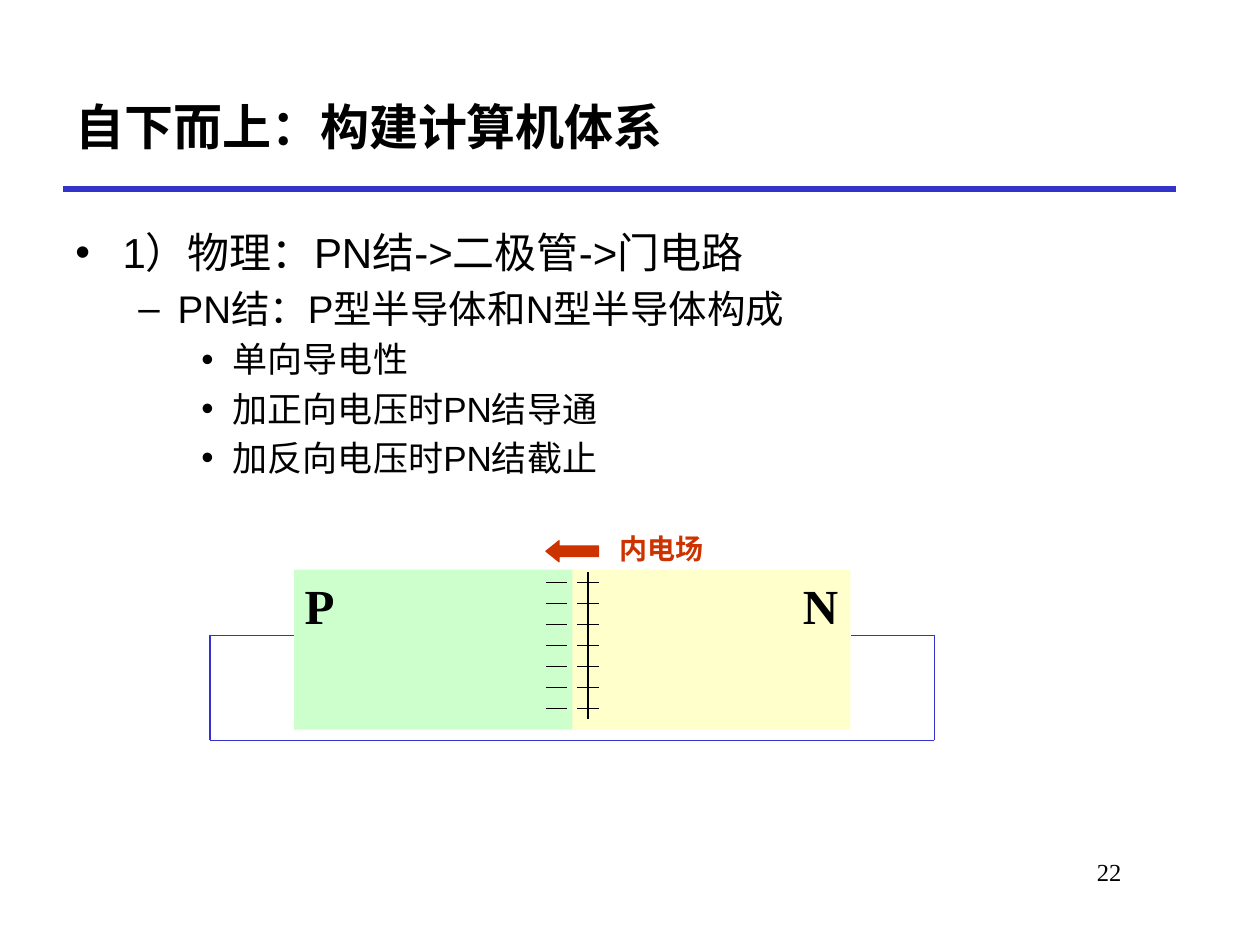
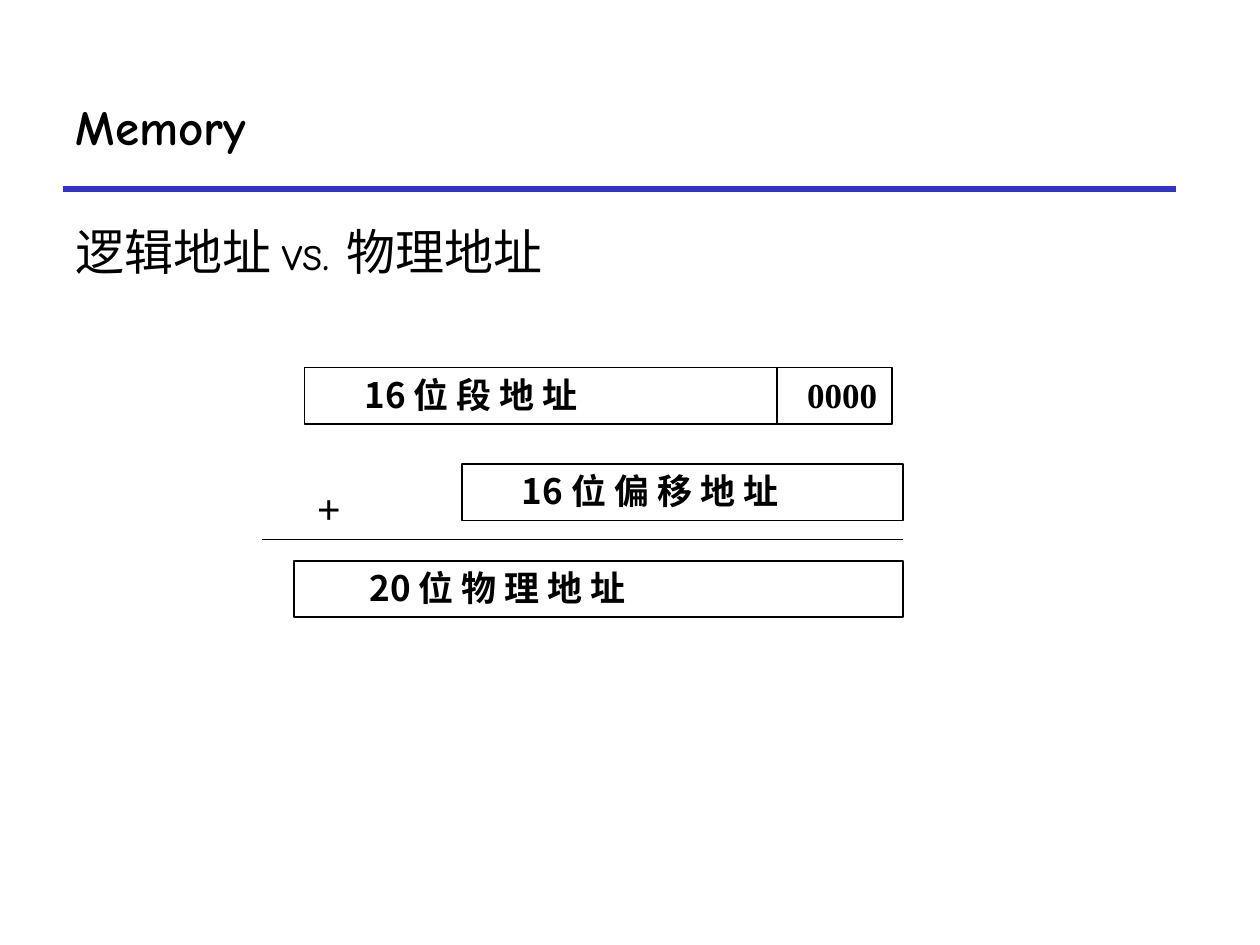
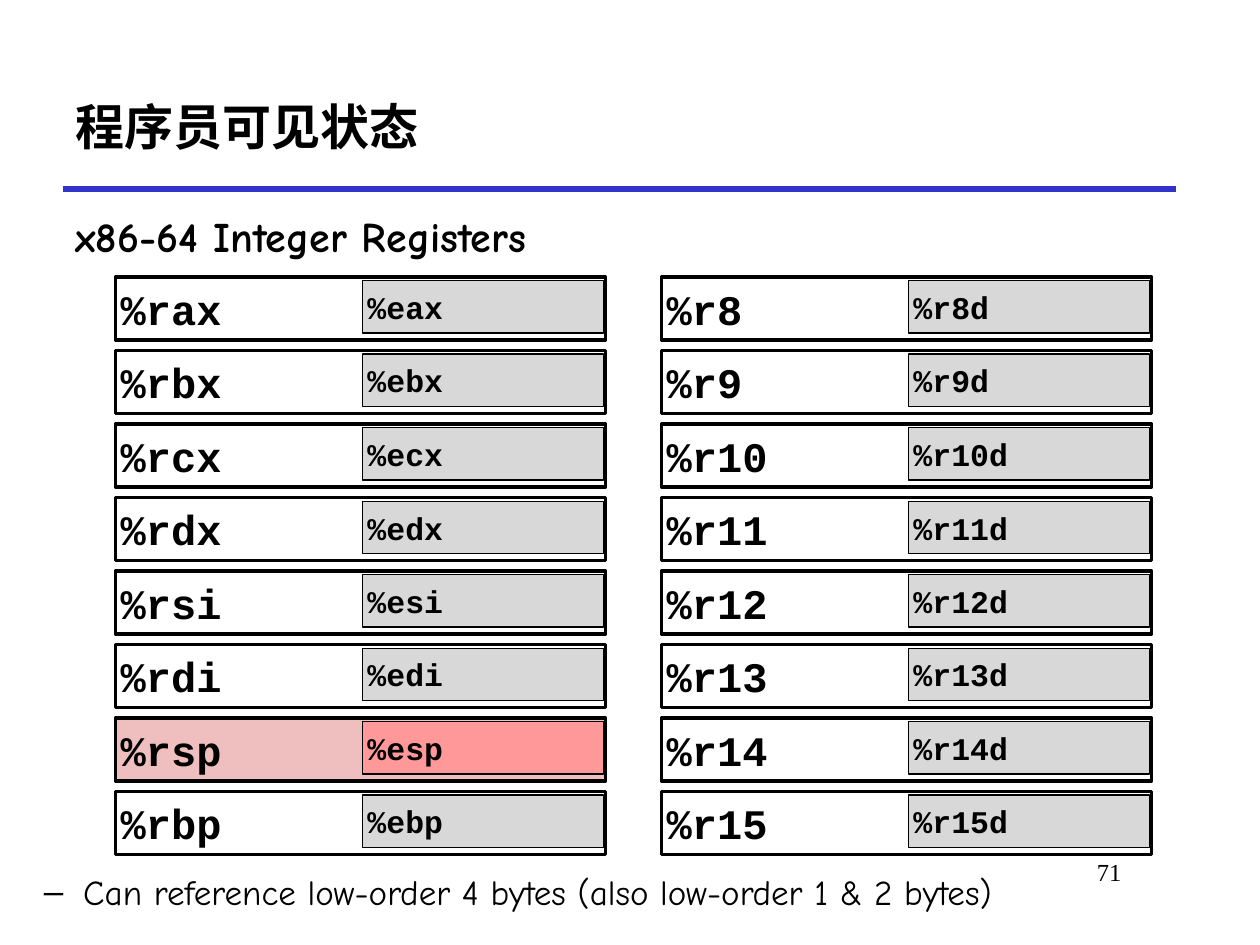
from dataclasses import dataclass
from itertools import pairwise

from lxml.etree import SubElement
from pptx import Presentation
from pptx.dml.color import RGBColor
from pptx.enum.shapes import MSO_CONNECTOR, MSO_SHAPE
from pptx.enum.text import MSO_ANCHOR, MSO_AUTO_SIZE, PP_ALIGN
from pptx.oxml.ns import qn
from pptx.shapes.base import BaseShape
from pptx.slide import Slide
from pptx.util import Pt

BLACK = "000000"
BLUE = "3333CC"
RED = "CC3300"
GREEN = "CCFFCC"
YELLOW = "FFFFCC"
GREY = "D8D8D8"
PINK = "EFBFBF"
ROSE = "FF9999"

HEADING_FONT = "Comic Neue"
BODY_FONT = "Arial"
SERIF_FONT = "Times New Roman"
CODE_FONT = "Courier New"
CHINESE_FONT = "Noto Sans CJK SC"

MARK_PITCH = 12
ROW_PITCH = 42


@dataclass(frozen=True)
class Area:
    left: float
    top: float
    width: float
    height: float


@dataclass(frozen=True)
class Bullet:
    text: str
    level: int = 0


@dataclass(frozen=True)
class BulletStyle:
    symbol: str
    size: float
    margin: float
    hanging: float


@dataclass(frozen=True)
class AddressField:
    text: str
    area: Area
    indent: float
    font: str = CHINESE_FONT


@dataclass(frozen=True)
class Register:
    name: str
    low_half: str
    fill: str | None = None
    low_fill: str = GREY


BULLET_STYLES = (
    BulletStyle("•", 24, 27, 27),
    BulletStyle("–", 22, 58.5, 22.5),
    BulletStyle("•", 20, 90, 18),
)

TITLE_AREA = Area(36, 36, 636, 72)

JUNCTION_BULLETS = (
    Bullet("1）物理：PN结->二极管->门电路"),
    Bullet("PN结：P型半导体和N型半导体构成", 1),
    Bullet("单向导电性", 2),
    Bullet("加正向电压时PN结导通", 2),
    Bullet("加反向电压时PN结截止", 2),
)

ADDRESS_FIELDS = (
    AddressField("16 位 段 地 址", Area(174, 210, 270, 32.4), 27),
    AddressField("16 位 偏 移 地 址", Area(264, 265, 252, 32.4), 27),
    AddressField("0000", Area(444, 210, 66, 32.4), 10, SERIF_FONT),
    AddressField("20 位 物 理 地 址", Area(168, 320.4, 348, 32.4), 36),
)

LEGACY_REGISTERS = [
    Register(f"%r{suffix}", f"%e{suffix}")
    for suffix in ("ax", "bx", "cx", "dx", "si", "di")
] + [Register("%rsp", "%esp", PINK, ROSE), Register("%rbp", "%ebp")]
NUMBERED_REGISTERS = [Register(f"%r{n}", f"%r{n}d") for n in range(8, 16)]


def colour(value: str) -> RGBColor:
    return RGBColor.from_string(value)


def place(shape: BaseShape, area: Area) -> None:
    shape.left, shape.top = Pt(area.left), Pt(area.top)
    shape.width, shape.height = Pt(area.width), Pt(area.height)


def write(paragraph, text: str, *, size: float, font: str,
          bold: bool = False, color: str = BLACK) -> None:
    span = paragraph.add_run()
    span.text = text
    span.font.size = Pt(size)
    span.font.name = font
    span.font.bold = bold
    span.font.color.rgb = colour(color)
    east_asian = SubElement(span.font._element, qn("a:ea"))
    east_asian.set("typeface", CHINESE_FONT)


def set_text(shape: BaseShape, text: str, *, size: float, font: str,
             bold: bool = False, color: str = BLACK,
             align: PP_ALIGN = PP_ALIGN.LEFT,
             anchor: MSO_ANCHOR = MSO_ANCHOR.TOP,
             insets: tuple[float, float, float, float] = (7.2, 3.6, 7.2, 3.6),
             wrap: bool = True) -> None:
    frame = shape.text_frame
    frame.auto_size = MSO_AUTO_SIZE.NONE
    frame.word_wrap = wrap
    frame.vertical_anchor = anchor
    frame.margin_left, frame.margin_top, frame.margin_right, frame.margin_bottom = map(Pt, insets)
    para = frame.paragraphs[0]
    para.alignment = align
    write(para, text, size=size, font=font, bold=bold, color=color)


def add_text(page: Slide, area: Area, text: str, **text_format) -> None:
    box = page.shapes.add_textbox(0, 0, 0, 0)
    place(box, area)
    set_text(box, text, **text_format)


def add_bullets(page: Slide, area: Area, bullets: tuple[Bullet, ...], font: str,
                size: float | None = None) -> None:
    box = page.shapes.add_textbox(0, 0, 0, 0)
    place(box, area)
    frame = box.text_frame
    frame.word_wrap = True
    for index, bullet in enumerate(bullets):
        style = BULLET_STYLES[bullet.level]
        text_size = size or style.size
        para = frame.add_paragraph() if index else frame.paragraphs[0]
        para.level = bullet.level
        properties = para._p.get_or_add_pPr()
        properties.set("marL", str(Pt(style.margin)))
        properties.set("indent", str(Pt(-style.hanging)))
        SubElement(properties, qn("a:buFont")).set("typeface", BODY_FONT)
        SubElement(properties, qn("a:buChar")).set("char", style.symbol)
        if index:
            para.space_before = Pt(text_size * 0.2)
        write(para, bullet.text, size=text_size, font=font)


def add_block(page: Slide, area: Area, *, kind: MSO_SHAPE = MSO_SHAPE.RECTANGLE,
              fill: str | None = None, line: str | None = None,
              weight: float = 0.75) -> BaseShape:
    block = page.shapes.add_shape(kind, 0, 0, 0, 0)
    place(block, area)
    block.shadow.inherit = False
    if fill:
        block.fill.solid()
        block.fill.fore_color.rgb = colour(fill)
    else:
        block.fill.background()
    if line:
        block.line.color.rgb = colour(line)
        block.line.width = Pt(weight)
    else:
        block.line.fill.background()
    return block


def add_line(page: Slide, start: tuple[float, float], end: tuple[float, float], *,
             color: str = BLACK, weight: float = 0.75) -> None:
    line = page.shapes.add_connector(MSO_CONNECTOR.STRAIGHT, *map(Pt, start + end))
    line.line.color.rgb = colour(color)
    line.line.width = Pt(weight)
    SubElement(line._element.spPr, qn("a:effectLst"))


def add_page(deck, title: str, number: int | None = None) -> Slide:
    page = deck.slides.add_slide(deck.slide_layouts[5])
    add_line(page, (36, 108), (672, 108), color=BLUE, weight=3)
    place(page.shapes.title, TITLE_AREA)
    set_text(page.shapes.title, title, size=28, font=HEADING_FONT, bold=True,
             anchor=MSO_ANCHOR.MIDDLE)
    if number is not None:
        add_text(page, Area(546, 486, 102, 36), str(number), size=14,
                 font=SERIF_FONT, align=PP_ALIGN.RIGHT)
    return page


def build_junction_page(deck) -> None:
    page = add_page(deck, "自下而上：构建计算机体系", 22)
    add_bullets(page, Area(36, 126, 654, 348), JUNCTION_BULLETS, BODY_FONT)

    p_region = add_block(page, Area(168, 325.5, 162, 91.5), fill=GREEN)
    set_text(p_region, "P", size=28, font=SERIF_FONT, bold=True, insets=(6, 3.6, 0, 3.6))
    n_region = add_block(page, Area(327, 325.5, 159, 91.5), fill=YELLOW)
    set_text(n_region, "N", size=28, font=SERIF_FONT, bold=True,
             align=PP_ALIGN.RIGHT, insets=(0, 3.6, 7, 3.6))

    for row in range(7):
        y = 333 + row * MARK_PITCH
        add_line(page, (312, y), (324, y))
        add_line(page, (330, y), (342, y))
        add_line(page, (336, y - MARK_PITCH / 2), (336, y + MARK_PITCH / 2))

    wire = ((168, 363), (120, 363), (120, 423), (534, 423), (534, 363), (486, 363))
    for start, end in pairwise(wire):
        add_line(page, start, end, color=BLUE)

    arrow = add_block(page, Area(312, 309, 30, 12), kind=MSO_SHAPE.LEFT_ARROW,
                      fill=RED, line=RED)
    arrow.adjustments[0] = 0.5
    arrow.adjustments[1] = 0.625
    add_text(page, Area(354, 300, 48, 26.4), "内电场", size=16, font=SERIF_FONT,
             bold=True, color=RED, insets=(0, 3.6, 0, 3.6), wrap=False)


def build_memory_page(deck) -> None:
    page = add_page(deck, "Memory")
    add_text(page, Area(36, 107.25, 636, 72), "逻辑地址 vs. 物理地址", size=28,
             font=HEADING_FONT, anchor=MSO_ANCHOR.MIDDLE)
    for field in ADDRESS_FIELDS:
        block = add_block(page, field.area, line=BLACK, weight=1)
        set_text(block, field.text, size=20, font=field.font, bold=True,
                 insets=(7.2 + field.indent, 3.6, 7.2, 3.6))
    add_text(page, Area(174, 272.25, 28, 36), "+", size=24, font=SERIF_FONT,
             bold=True, wrap=False)
    add_line(page, (150, 308.25), (516, 308.25), weight=1)


def add_register(page: Slide, register: Register, left: float, top: float) -> None:
    label_format = dict(font=CODE_FONT, bold=True, anchor=MSO_ANCHOR.MIDDLE,
                        insets=(3, 3, 3, 3))
    full = add_block(page, Area(left, top, 280, 36), fill=register.fill,
                     line=BLACK, weight=2)
    set_text(full, register.name, size=24, **label_format)
    low = add_block(page, Area(left + 141, top + 2, 138, 30), fill=register.low_fill,
                    line=BLACK)
    set_text(low, register.low_half, size=18, **label_format)


def build_register_page(deck) -> None:
    page = add_page(deck, "程序员可见状态", 71)
    add_text(page, Area(36, 104.5, 598, 60), "x86-64 Integer Registers", size=24,
             font=HEADING_FONT, bold=True, anchor=MSO_ANCHOR.MIDDLE)
    for left, registers in ((66, LEGACY_REGISTERS), (378, NUMBERED_REGISTERS)):
        for row, register in enumerate(registers):
            add_register(page, register, left, 158.4 + row * ROW_PITCH)
    note = Bullet("Can reference low-order 4 bytes (also low-order 1 & 2 bytes)", 1)
    add_bullets(page, Area(-18, 494, 664.5, 46), (note,), HEADING_FONT, size=20)


def main() -> None:
    deck = Presentation()
    deck.slide_width, deck.slide_height = Pt(720), Pt(540)
    build_junction_page(deck)
    build_memory_page(deck)
    build_register_page(deck)
    deck.save("out.pptx")


if __name__ == "__main__":
    main()
